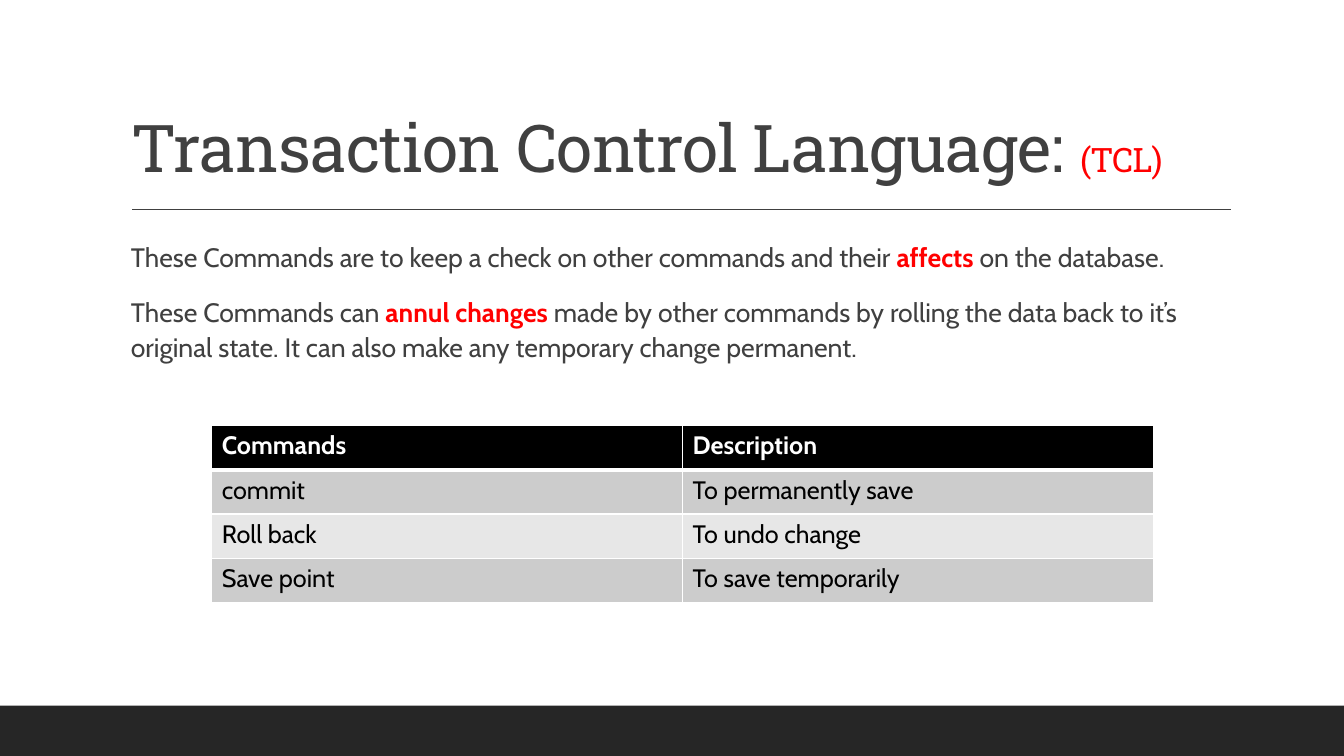
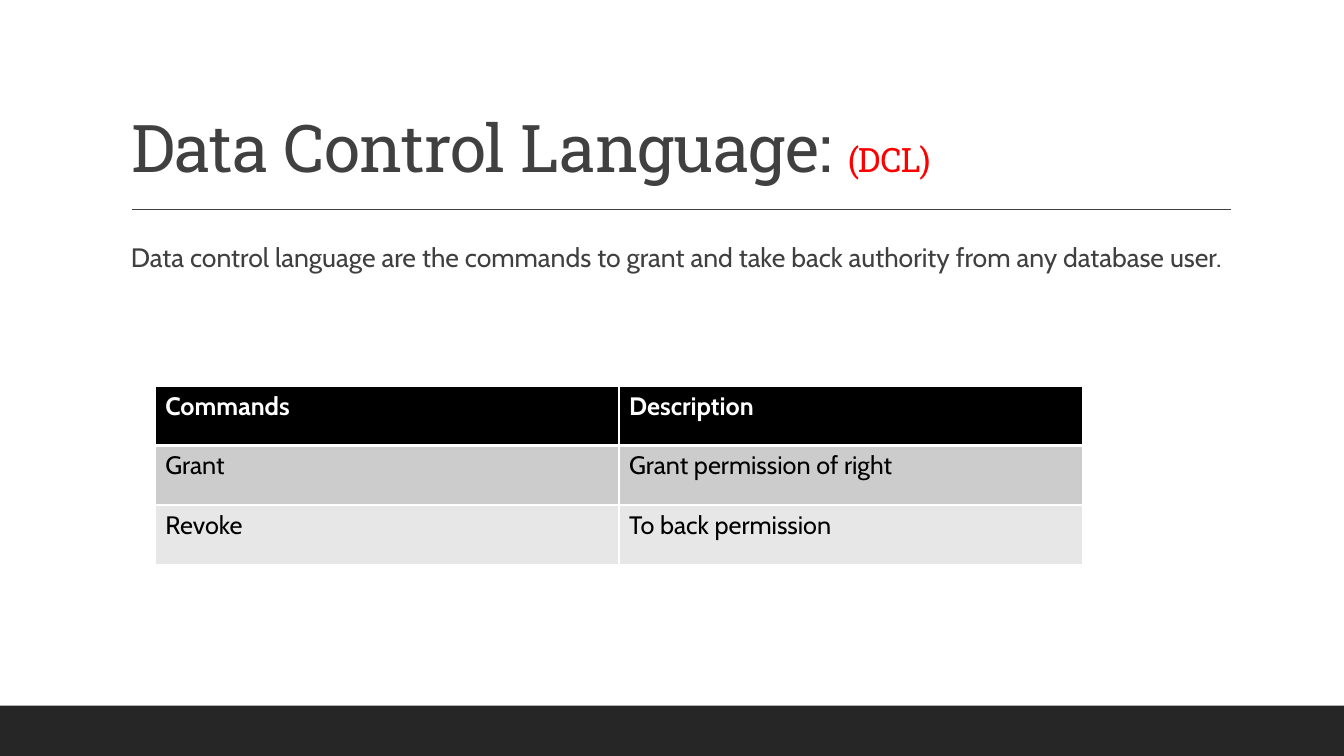
import lxml.etree
import pptx
import pptx.dml.color
import pptx.enum.shapes
import pptx.enum.text
import pptx.oxml
import pptx.oxml.ns
import pptx.util

Inches = pptx.util.Inches
Pt = pptx.util.Pt
RGBColor = pptx.dml.color.RGBColor

WHITE = RGBColor(0xFF, 0xFF, 0xFF)
BLACK = RGBColor(0x00, 0x00, 0x00)
CHARCOAL = RGBColor(0x26, 0x26, 0x26)
DARK_GREY = RGBColor(0x40, 0x40, 0x40)
RED = RGBColor(0xFF, 0x00, 0x00)
ROW_FILLS = (RGBColor(0xCC, 0xCC, 0xCC), RGBColor(0xE7, 0xE7, 0xE7))

HEADING_FONT = "Roboto Slab"
BODY_FONT = "Cabin"
WIDTH, HEIGHT = 13.33, 7.5
BAND_HEIGHT = 0.5
CONTENT_LEFT, CONTENT_WIDTH = 1.2, 11


class Deck:
    def __init__(self):
        self.presentation = pptx.Presentation()
        self.presentation.slide_width = Inches(WIDTH)
        self.presentation.slide_height = Inches(HEIGHT)
        self.slide = None

    def add_slide(self, heading, abbreviation):
        self.slide = self.presentation.slides.add_slide(self.presentation.slide_layouts[5])
        self.add_band()
        self.add_rule()
        self.add_title(heading, abbreviation)

    def add_band(self):
        band = self.slide.shapes.add_shape(
            pptx.enum.shapes.MSO_SHAPE.RECTANGLE,
            Inches(0), Inches(HEIGHT - BAND_HEIGHT), Inches(WIDTH), Inches(BAND_HEIGHT))
        band.shadow.inherit = False
        band.fill.solid()
        band.fill.fore_color.rgb = CHARCOAL
        band.line.fill.background()

    def add_rule(self):
        rule = self.slide.shapes.add_connector(
            pptx.enum.shapes.MSO_CONNECTOR.STRAIGHT,
            Inches(1.31), Inches(2.08), Inches(12.21), Inches(2.08))
        rule.line.color.rgb = DARK_GREY
        rule.line.width = Pt(1)
        lxml.etree.SubElement(rule._element.spPr, pptx.oxml.ns.qn("a:effectLst"))

    def add_title(self, heading, abbreviation):
        title = self.slide.shapes.title
        title.left, title.top = Inches(CONTENT_LEFT), Inches(0.31)
        title.width, title.height = Inches(CONTENT_WIDTH), Inches(1.59)
        text_frame = title.text_frame
        text_frame.word_wrap = True
        text_frame.auto_size = pptx.enum.text.MSO_AUTO_SIZE.NONE
        text_frame.vertical_anchor = pptx.enum.text.MSO_ANCHOR.BOTTOM
        paragraph = text_frame.paragraphs[0]
        paragraph.alignment = pptx.enum.text.PP_ALIGN.LEFT
        paragraph.line_spacing = 0.9
        for text, size, color in ((heading + " ", 47, DARK_GREY), (abbreviation, 24, RED)):
            run = self.add_run(paragraph, text, HEADING_FONT, size, color)
            run._r.get_or_add_rPr().set("spc", "-50")

    def add_body(self, paragraphs):
        body = self.slide.shapes.add_textbox(
            Inches(CONTENT_LEFT), Inches(2.31), Inches(CONTENT_WIDTH), Inches(4.11))
        text_frame = body.text_frame
        text_frame.word_wrap = True
        text_frame.margin_right = 0
        for index, parts in enumerate(paragraphs):
            paragraph = text_frame.add_paragraph() if index else text_frame.paragraphs[0]
            paragraph.line_spacing = 1.1
            paragraph.space_before = Pt(12)
            paragraph.space_after = Pt(2)
            for position, text in enumerate(parts):
                emphasised = position % 2 == 1
                color = RED if emphasised else DARK_GREY
                self.add_run(paragraph, text, BODY_FONT, 19, color, emphasised)

    def add_table(self, left, top, column_width, row_height, rows):
        columns = len(rows[0])
        table = self.slide.shapes.add_table(
            len(rows), columns, Inches(left), Inches(top),
            Inches(column_width * columns), Inches(row_height * len(rows))).table
        for column in table.columns:
            column.width = Inches(column_width)
        for row_index, texts in enumerate(rows):
            table.rows[row_index].height = Inches(row_height)
            for column_index, text in enumerate(texts):
                self.fill_cell(table.cell(row_index, column_index), text, row_index)

    def fill_cell(self, cell, text, row_index):
        header = row_index == 0
        self.set_borders(cell, top=3 if row_index == 1 else 1, bottom=3 if header else 1)
        cell.fill.solid()
        cell.fill.fore_color.rgb = BLACK if header else ROW_FILLS[(row_index - 1) % 2]
        cell.text_frame.text = text
        run = cell.text_frame.paragraphs[0].runs[0]
        self.format_run(run, BODY_FONT, 18, WHITE if header else BLACK, header)

    @staticmethod
    def set_borders(cell, top, bottom):
        properties = cell._tc.get_or_add_tcPr()
        for side, width in (("L", 1), ("R", 1), ("T", top), ("B", bottom)):
            properties.append(pptx.oxml.parse_xml(
                f'<a:ln{side} {pptx.oxml.ns.nsdecls("a")} w="{Pt(width)}">'
                f'<a:solidFill><a:srgbClr val="{WHITE}"/></a:solidFill></a:ln{side}>'))

    def add_run(self, paragraph, text, font, size, color, bold=False):
        run = paragraph.add_run()
        run.text = text
        self.format_run(run, font, size, color, bold)
        return run

    @staticmethod
    def format_run(run, font, size, color, bold):
        run.font.name = font
        run.font.size = Pt(size)
        run.font.bold = bold
        run.font.color.rgb = color


def main():
    deck = Deck()
    table_header = ("Commands", "Description")

    deck.add_slide("Transaction Control Language:", "(TCL)")
    deck.add_body([
        ("These Commands are to keep a check on other commands and their ",
         "affects", " on the database."),
        ("These Commands can ", "annul changes ",
         "made by other commands by rolling the data back to it’s original state. "
         "It can also make any temporary change permanent."),
    ])
    deck.add_table(2.1, 4.22, 4.67, 0.44, [
        table_header,
        ("commit", "To permanently save"),
        ("Roll back", "To undo change"),
        ("Save point", "To save temporarily"),
    ])

    deck.add_slide("Data Control Language:", "(DCL)")
    deck.add_body([
        ("Data control language are the commands to grant and take back "
         "authority from any database user.",),
    ])
    deck.add_table(1.54, 3.83, 4.6, 0.59, [
        table_header,
        ("Grant", "Grant permission of right"),
        ("Revoke", "To back permission"),
    ])

    deck.presentation.save("out.pptx")


if __name__ == "__main__":
    main()
